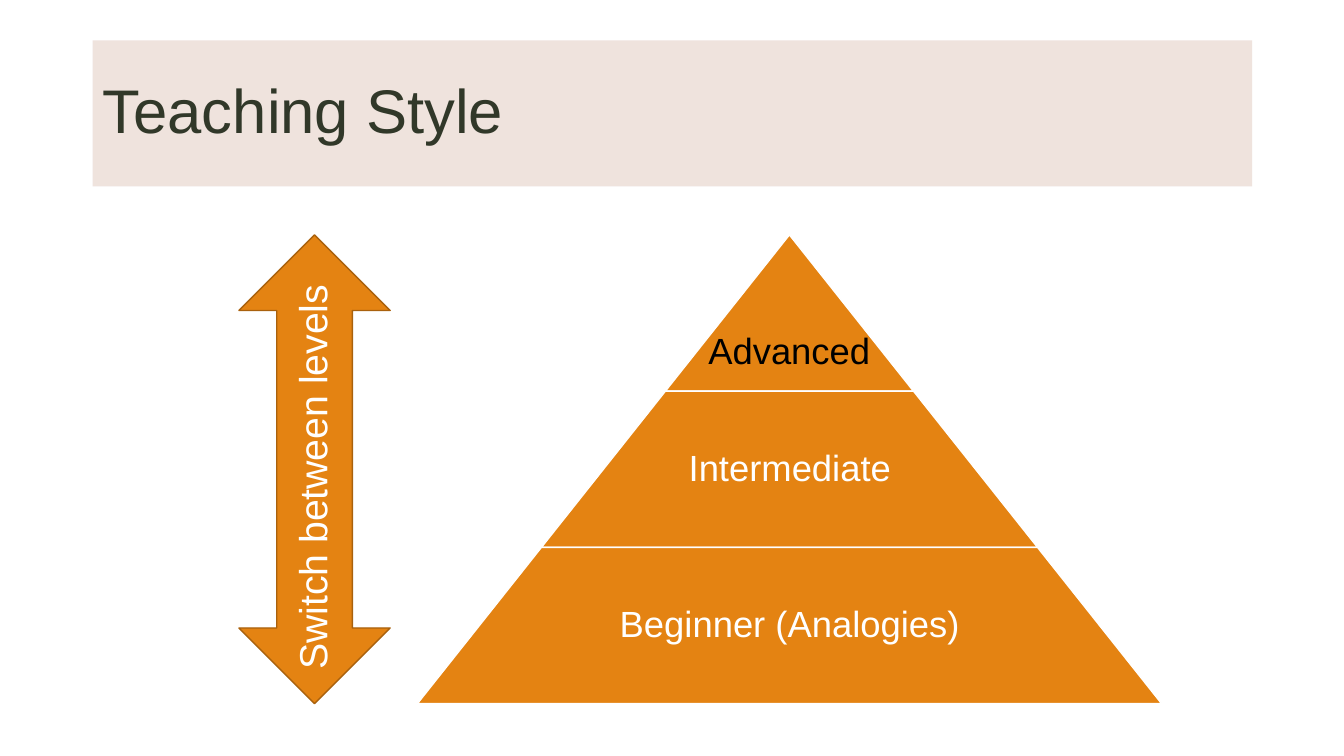
from lxml import etree
from pptx import Presentation
from pptx.dml.color import RGBColor
from pptx.enum.shapes import MSO_SHAPE as SHAPE
from pptx.enum.text import MSO_ANCHOR as ANCHOR, PP_ALIGN as ALIGN
from pptx.oxml.ns import qn
from pptx.util import Pt

PX = 9144  # 100 px to the inch
COLORS = {
    "banner": "EBDCD5",
    "title": "313829",
    "orange": "E48312",
    "arrow_edge": "A9610D",
    "white": "FFFFFF",
    "black": "000000",
}


def add_shape(kind, x, y, w, h, fill, line=None):
    sp = s.shapes.add_shape(kind, x * PX, y * PX, w * PX, h * PX)
    sp.shadow.inherit = False
    sp.fill.solid()
    sp.fill.fore_color.rgb = RGBColor.from_string(COLORS[fill])
    if line:
        sp.line.color.rgb = RGBColor.from_string(COLORS[line])
        sp.line.width = Pt(1)
    else:
        sp.line.fill.background()
    return sp


def add_text(text, x, y, w, h, size=26, color="white", align=ALIGN.CENTER,
             inset=10, rotation=0):
    sp = s.shapes.add_textbox(x * PX, y * PX, w * PX, h * PX)
    sp.rotation = rotation
    tf = sp.text_frame
    tf.word_wrap = True
    tf.vertical_anchor = ANCHOR.MIDDLE
    tf.margin_left = tf.margin_right = inset * PX
    tf.margin_top = tf.margin_bottom = 4 * PX
    p = tf.paragraphs[0]
    p.alignment = align
    p.line_spacing = 0.9
    r = p.add_run()
    r.text = text
    r.font.name = "Arial"
    r.font.size = Pt(size)
    r.font.color.rgb = RGBColor.from_string(COLORS[color])


prs = Presentation()
prs.slide_width, prs.slide_height = 1333 * PX, 750 * PX
s = prs.slides.add_slide(prs.slide_layouts[6])

# Title banner, 80 % opaque
banner_box = (92, 40, 1150, 145)
banner = add_shape(SHAPE.RECTANGLE, *banner_box, "banner")
banner_color = banner.fill._xPr.find(".//" + qn("a:srgbClr"))
etree.SubElement(banner_color, qn("a:alpha"), val="80000")
add_text("Teaching Style", *banner_box, size=44, color="title", align=ALIGN.LEFT)

# Pyramid: each tier is one step wider than the tier above
CENTER, TOP, TIER_H, STEP = 783, 233, 155, 246
tiers = ["Advanced", "Intermediate", "Beginner (Analogies)"]
for i, label in enumerate(tiers):
    w, y = STEP * (i + 1), TOP + TIER_H * i
    tier = add_shape(SHAPE.TRAPEZOID, CENTER - w // 2, y, w, TIER_H, "orange", "white")
    tier.adjustments[0] = STEP / 2 / TIER_H
    if i == 0:
        add_text(label, CENTER - 145, 323, 290, 54, color="black")
    else:
        text_w = w * 65 // 100
        add_text(label, CENTER - text_w // 2, y, text_w, TIER_H, inset=4)

# Arrow between the levels
add_shape(SHAPE.UP_DOWN_ARROW, 237, TOP, 150, 3 * TIER_H, "orange", "arrow_edge")
add_text("Switch between levels", 87, 445, 450, 57, size=28, rotation=270)

prs.save("out.pptx")
